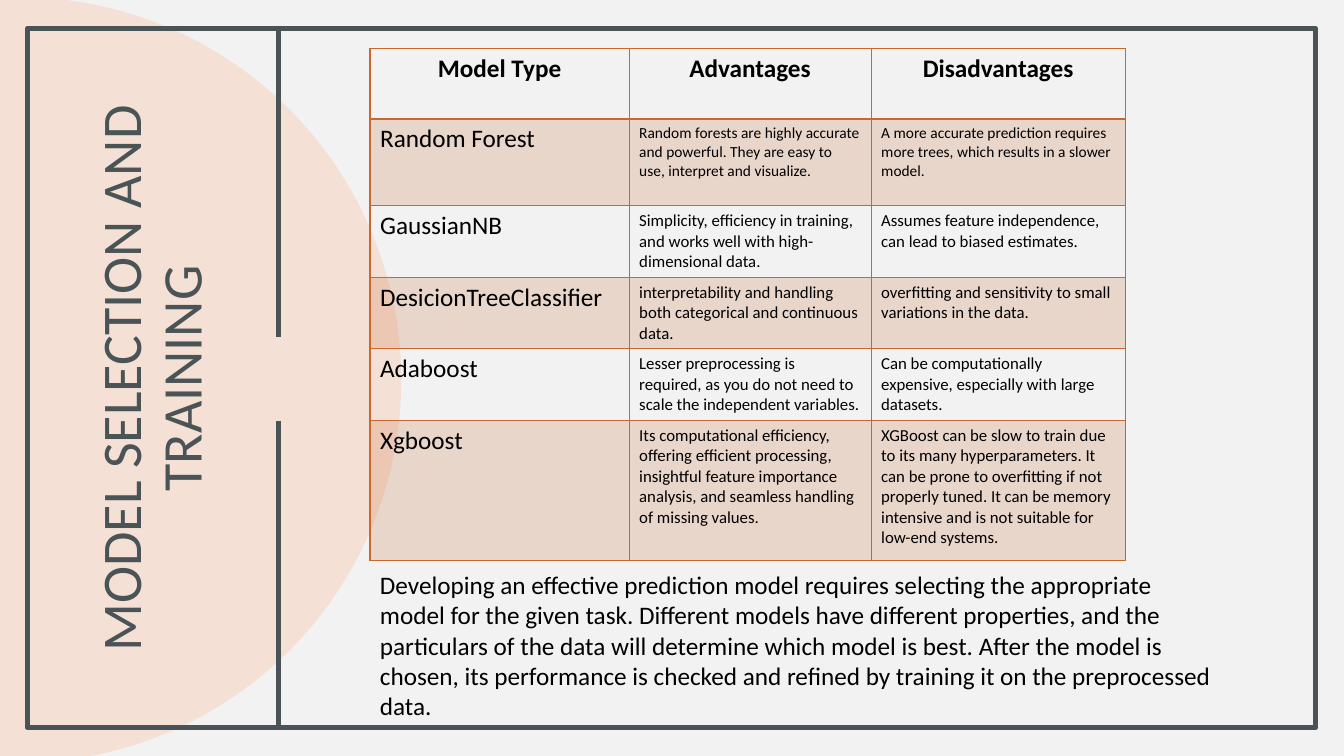
"""Build the model selection and training slide."""
import math

from lxml import etree
from pptx import Presentation
from pptx.dml.color import RGBColor
from pptx.enum.shapes import MSO_CONNECTOR, MSO_SHAPE
from pptx.enum.text import MSO_ANCHOR, PP_ALIGN
from pptx.oxml.ns import qn
from pptx.util import Inches, Pt

TITLE = "MODEL SELECTION AND TRAINING"
HEADINGS = ("Model Type", "Advantages", "Disadvantages")
MODELS = [
    ("Random Forest",
     "Random forests are highly accurate and powerful. They are easy to use, interpret and visualize.",
     "A more accurate prediction requires more trees, which results in a slower model."),
    ("GaussianNB",
     "Simplicity, efficiency in training, and works well with high-dimensional data.",
     "Assumes feature independence, can lead to biased estimates."),
    ("DesicionTreeClassifier",
     "interpretability and handling both categorical and continuous data.",
     "overfitting and sensitivity to small variations in the data."),
    ("Adaboost",
     "Lesser preprocessing is required, as you do not need to scale the independent variables.",
     "Can be computationally expensive, especially with large datasets."),
    ("Xgboost",
     "Its computational efficiency, offering efficient processing, insightful feature importance "
     "analysis, and seamless handling of missing values.",
     "XGBoost can be slow to train due to its many hyperparameters. It can be prone to overfitting "
     "if not properly tuned. It can be memory intensive and is not suitable for low-end systems."),
]
SUMMARY = (
    "Developing an effective prediction model requires selecting the appropriate model for the given "
    "task. Different models have different properties, and the particulars of the data will determine "
    "which model is best. After the model is chosen, its performance is checked and refined by training "
    "it on the preprocessed data."
)
COLUMN_WIDTHS = (2.57, 2.4, 2.52)
ROW_HEIGHTS = (0.7, 0.86, 0.7, 0.7, 0.7, 1.39)
DIVIDER_SPANS = ((0.28, 3.34), (4.18, 7.24))

FONT = "Calibri"
BACKGROUND = RGBColor(0xF2, 0xF2, 0xF2)
PEACH = RGBColor(0xF5, 0xE0, 0xD5)
SLATE = RGBColor(0x4A, 0x53, 0x56)
ORANGE = RGBColor(0xC9, 0x67, 0x31)
BLACK = RGBColor(0, 0, 0)
CENTER, LEFT = PP_ALIGN.CENTER, PP_ALIGN.LEFT
MIDDLE = MSO_ANCHOR.MIDDLE
RECTANGLE = MSO_SHAPE.RECTANGLE
STRAIGHT = MSO_CONNECTOR.STRAIGHT


def write(frame, text, size=18, color=BLACK, bold=False, align=LEFT, spacing=1.0):
    frame.word_wrap = True
    para = frame.paragraphs[0]
    para.alignment = align
    para.line_spacing = spacing
    span = para.add_run()
    span.text = text
    span.font.name = FONT
    span.font.size = Pt(size)
    span.font.bold = bold
    span.font.color.rgb = color


def add_half_disc(page, center_x=0.18, center_y=3.77, radius=3.8, steps=120):
    angles = [math.pi * (step / steps - 0.5) for step in range(steps + 1)]
    arc = [(center_x + radius * math.cos(angle), center_y + radius * math.sin(angle))
           for angle in angles]
    outline = [(Inches(x), Inches(y)) for x, y in arc + [(0, 7.56), (0, -0.02)]]
    builder = page.shapes.build_freeform(*outline[0])
    builder.add_line_segments(outline[1:], close=True)
    disc = builder.convert_to_shape()
    disc.shadow.inherit = False
    disc.fill.solid()
    disc.fill.fore_color.rgb = PEACH
    disc.line.fill.background()


def add_frame(page):
    frame = page.shapes.add_shape(RECTANGLE, Inches(0.27), Inches(0.28), Inches(12.78), Inches(6.94))
    frame.shadow.inherit = False
    frame.fill.background()
    frame.line.color.rgb = SLATE
    frame.line.width = Pt(3.5)
    for top, bottom in DIVIDER_SPANS:
        divider = page.shapes.add_connector(
            STRAIGHT, Inches(2.76), Inches(top), Inches(2.76), Inches(bottom))
        divider.line.color.rgb = SLATE
        divider.line.width = Pt(3.5)
        etree.SubElement(divider.element.spPr, qn("a:effectLst"))


def style_cell(cell, shaded, widths):
    if shaded:
        cell.fill.solid()
        cell.fill.fore_color.rgb = ORANGE
    else:
        cell.fill.background()
    properties = cell._tc.get_or_add_tcPr()
    for color in properties.iter(qn("a:srgbClr")):
        etree.SubElement(color, qn("a:alpha"), val="20000")
    for index, (side, width) in enumerate(widths.items()):
        border = etree.Element(qn(f"a:ln{side}"), w=str(Pt(width)))
        fill = etree.SubElement(border, qn("a:solidFill"))
        etree.SubElement(fill, qn("a:srgbClr"), val=str(ORANGE))
        properties.insert(index, border)


def add_model_table(page):
    rows = [HEADINGS] + MODELS
    table = page.shapes.add_table(
        len(rows), len(HEADINGS), Inches(3.67), Inches(0.48),
        Inches(sum(COLUMN_WIDTHS)), Inches(sum(ROW_HEIGHTS))).table
    table.first_row = table.horz_banding = False
    for column, width in zip(table.columns, COLUMN_WIDTHS):
        column.width = Inches(width)
    for row, height in zip(table.rows, ROW_HEIGHTS):
        row.height = Inches(height)
    for row_index, texts in enumerate(rows):
        heading = row_index == 0
        detail_size = 11 if row_index == 1 else 12
        widths = {"L": 1, "R": 1, "T": 2 if row_index == 1 else 1, "B": 2 if heading else 1}
        for column_index, text in enumerate(texts):
            cell = table.cell(row_index, column_index)
            size = 18 if heading or column_index == 0 else detail_size
            write(cell.text_frame, text, size=size, bold=heading, align=CENTER if heading else LEFT)
            style_cell(cell, row_index % 2 == 1, widths)


def add_title(page):
    title = page.shapes.title
    title.element.getparent().append(title.element)
    title.left, title.top = Inches(-1.91), Inches(2.51)
    title.width, title.height = Inches(6.86), Inches(2.49)
    title.rotation = 270
    frame = title.text_frame
    frame.vertical_anchor = MIDDLE
    frame.margin_left = frame.margin_right = Inches(0.2)
    frame.margin_top = frame.margin_bottom = 0
    write(frame, TITLE, size=40, color=SLATE, align=CENTER, spacing=0.9)


def main():
    deck = Presentation()
    deck.slide_width, deck.slide_height = Inches(13.33), Inches(7.5)
    page = deck.slides.add_slide(deck.slide_layouts.get_by_name("Title Only"))
    page.background.fill.solid()
    page.background.fill.fore_color.rgb = BACKGROUND
    add_half_disc(page)
    add_frame(page)
    add_title(page)
    add_model_table(page)
    summary = page.shapes.add_textbox(Inches(3.67), Inches(5.6), Inches(8.55), Inches(1.62))
    write(summary.text_frame, SUMMARY)
    deck.save("out.pptx")


if __name__ == "__main__":
    main()
